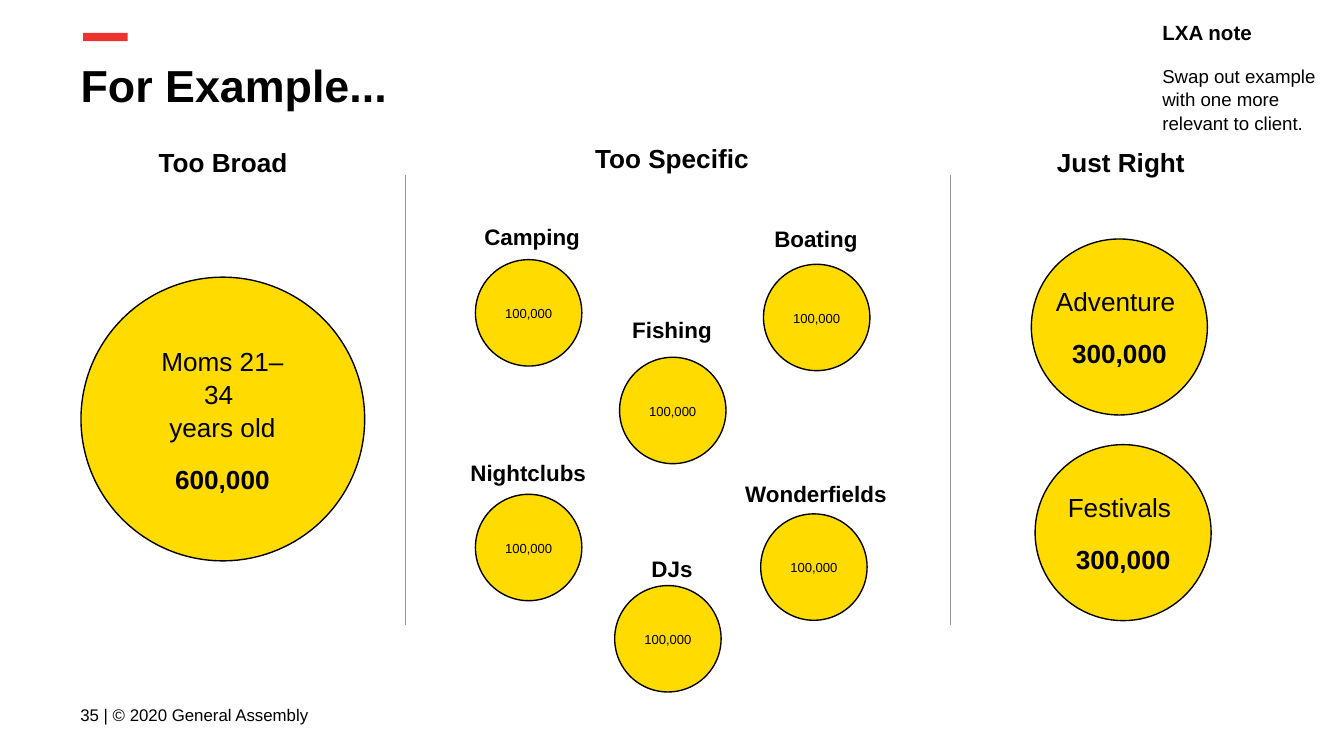
from lxml.etree import SubElement
from pptx import Presentation
from pptx.dml.color import RGBColor
from pptx.enum.shapes import MSO_CONNECTOR, MSO_SHAPE
from pptx.enum.text import MSO_ANCHOR, MSO_AUTO_SIZE, PP_ALIGN
from pptx.oxml.ns import qn
from pptx.util import Pt

COLORS = {"text": "000000", "circle": "FFDB00", "accent": "ED332F",
          "divider": "999999"}


def rgb(name):
    return RGBColor.from_string(COLORS[name])


class Deck:
    font = "Arial"
    inset = 7.2
    spacing = 1.05

    def __init__(self, prs):
        self.s = prs.slides.add_slide(prs.slide_layouts[5])

    def fill_text(self, sp, paragraphs, align=PP_ALIGN.LEFT,
                  anchor=MSO_ANCHOR.TOP, wrap=True):
        """Fill a shape with (text, size, bold) paragraphs."""
        tf = sp.text_frame
        tf.word_wrap = wrap
        tf.auto_size = MSO_AUTO_SIZE.NONE
        tf.vertical_anchor = anchor
        tf.margin_left = tf.margin_right = Pt(self.inset)
        tf.margin_top = tf.margin_bottom = Pt(self.inset)
        for i, (text, size, bold) in enumerate(paragraphs):
            p = tf.add_paragraph() if i else tf.paragraphs[0]
            p.text = text
            p.alignment = align
            p.line_spacing = self.spacing
            p.space_before = Pt(10 if i else 0)
            for r in p.runs:
                r.font.name = self.font
                r.font.size = Pt(size)
                r.font.bold = bold
                r.font.color.rgb = rgb("text")

    def title(self, text, x, y, w, h):
        sp = self.s.shapes.title
        sp.left, sp.top, sp.width, sp.height = Pt(x), Pt(y), Pt(w), Pt(h)
        self.fill_text(sp, [(text, 24, True)])

    def text(self, paragraphs, x, y, w, h, **style):
        sp = self.s.shapes.add_textbox(Pt(x), Pt(y), Pt(w), Pt(h))
        self.fill_text(sp, paragraphs, **style)

    def bar(self, x, y, w, h):
        sp = self.s.shapes.add_shape(MSO_SHAPE.RECTANGLE, Pt(x), Pt(y), Pt(w), Pt(h))
        sp.shadow.inherit = False
        sp.fill.solid()
        sp.fill.fore_color.rgb = rgb("accent")
        sp.line.fill.background()

    def circle(self, x, y, d, label=None):
        sp = self.s.shapes.add_shape(MSO_SHAPE.OVAL, Pt(x), Pt(y), Pt(d), Pt(d))
        sp.shadow.inherit = False
        sp.fill.solid()
        sp.fill.fore_color.rgb = rgb("circle")
        sp.line.color.rgb = rgb("text")
        sp.line.width = Pt(0.75)
        if label:
            self.fill_text(sp, [(label, 7, False)], PP_ALIGN.CENTER,
                           MSO_ANCHOR.MIDDLE, wrap=False)

    def divider(self, x, top, bottom):
        ln = self.s.shapes.add_connector(MSO_CONNECTOR.STRAIGHT, Pt(x), Pt(top),
                                         Pt(x), Pt(bottom))
        ln.line.color.rgb = rgb("divider")
        ln.line.width = Pt(0.75)
        SubElement(ln._element.spPr, qn("a:effectLst"))


def main():
    prs = Presentation()
    prs.slide_width, prs.slide_height = Pt(720), Pt(405)
    deck = Deck(prs)

    # Title and accent bar
    deck.bar(44.6, 17.6, 23.8, 4.4)
    deck.title("For Example...", 36, 22.3, 671, 45.4)

    # Column headings and dividers
    for heading, x, y in [("Too Broad", 40.3, 70.6), ("Too Specific", 280.8, 68.2),
                          ("Just Right", 521.3, 70.6)]:
        deck.text([(heading, 14, True)], x, y, 158.4, 41.8, align=PP_ALIGN.CENTER)
    for x in (217.4, 509.2):
        deck.divider(x, 93.8, 334.8)

    # Broad and well-sized audiences: circle x, y, diameter, then text x, y
    audiences = [
        ("Moms 21–34 \vyears old", "600,000", 43.4, 148.5, 152, 72, 198),
        ("Adventure ", "300,000", 552.5, 128, 94.3, 552.5, 148.3),
        ("Festivals ", "300,000", 554.5, 238.2, 94.3, 554.5, 258.5),
    ]
    for name, count, x, y, d, text_x, text_y in audiences:
        deck.circle(x, y, d)
        deck.text([(name, 14, False), (count, 14, True)], text_x, text_y, 94.3, 53.3,
                  align=PP_ALIGN.CENTER, anchor=MSO_ANCHOR.MIDDLE)

    # Narrow audiences: label x, y, then circle x, y
    interests = [
        ("Camping", 231.8, 111.6, 254.7, 139.1),
        ("Boating", 383.8, 113, 409, 141.6),
        ("Fishing", 306.7, 161.3, 331.9, 191.4),
        ("Nightclubs", 229.7, 238.3, 254.7, 264.8),
        ("Wonderfields", 383.8, 249.1, 407.5, 275.3),
        ("DJs", 306.7, 289.4, 329.3, 313.7),
    ]
    for name, label_x, label_y, x, y in interests:
        deck.circle(x, y, 57, "100,000")
        deck.text([(name, 12, True)], label_x, label_y, 106.6, 21.6,
                  align=PP_ALIGN.CENTER)

    # Note and footer
    deck.text([("LXA note", 11, True),
               ("Swap out example with one more relevant to client.", 10, False)],
              615.6, 2.9, 104.4, 83.5)
    deck.text([("35 | © 2020 General Assembly", 9, False)], 36, 367.2, 225.4, 31,
              anchor=MSO_ANCHOR.MIDDLE)

    prs.save("out.pptx")


if __name__ == "__main__":
    main()
